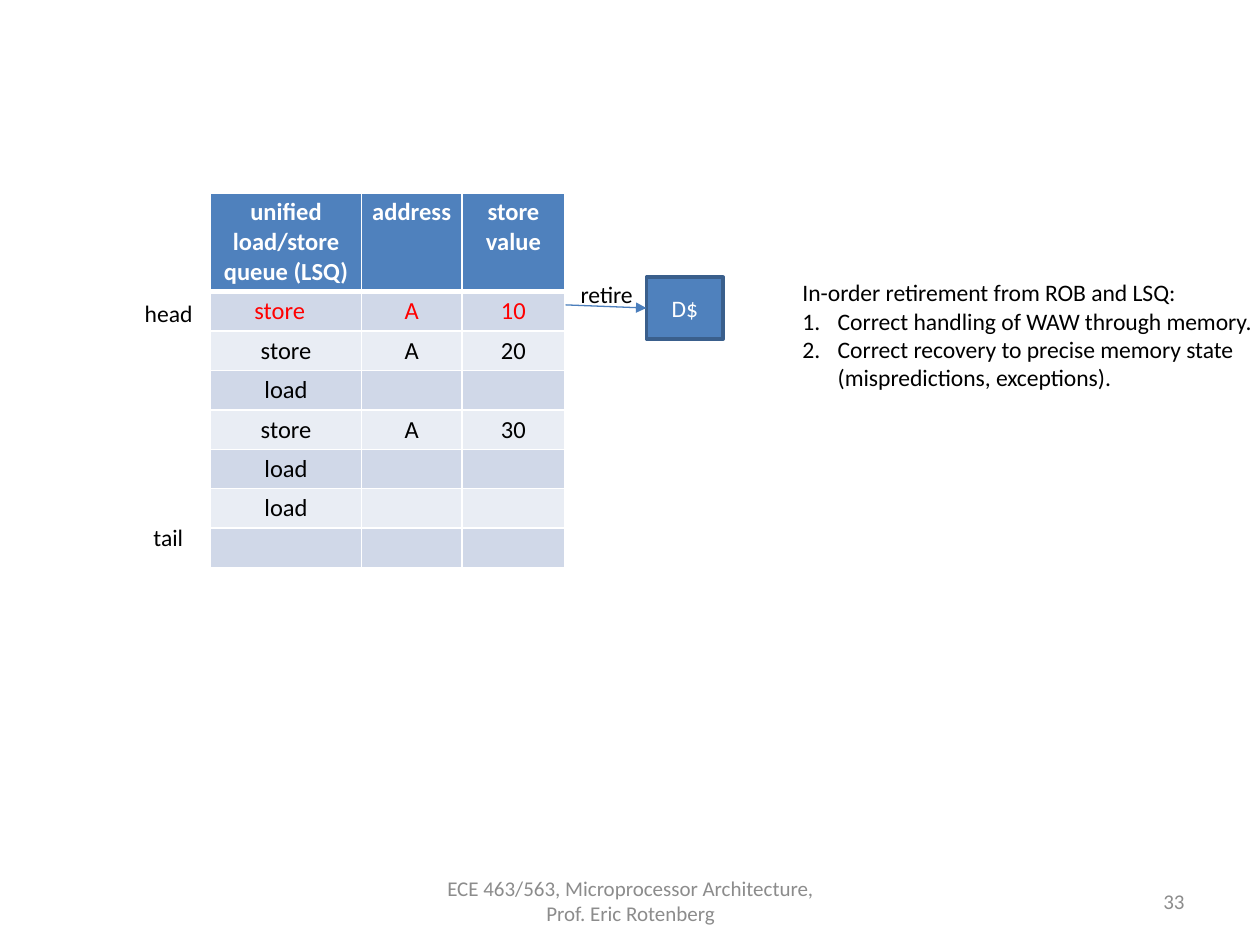
import pptx
import pptx.dml.color
import pptx.enum.shapes
import pptx.enum.text
import pptx.oxml.ns
import pptx.util
import lxml.etree

theme = {
    "font": "Calibri",
    "blue": "4F81BD", "edge": "3A5F8C", "arrow": "4B7EBC",
    "odd": "D0D8E8", "even": "E9EDF4",
    "black": "000000", "white": "FFFFFF", "red": "FF0000", "grey": "8C8C8C",
    "cell": 14, "body": 13.5, "foot": 12,
}
align = pptx.enum.text.PP_ALIGN
anchor = pptx.enum.text.MSO_ANCHOR
Pt = pptx.util.Pt
qn = pptx.oxml.ns.qn

deck = pptx.Presentation()
deck.slide_width = pptx.util.Inches(10)
deck.slide_height = pptx.util.Inches(7.5)
slide = deck.slides.add_slide(deck.slide_layouts[6])
shapes = slide.shapes

# Grid of 100 columns by 75 rows of square units
unit = deck.slide_width // 100


def grid(*spans):
    return [pptx.util.Emu(round(span * unit)) for span in spans]


def style(frame, size, color, side=align.LEFT, bold=False):
    for para in frame.paragraphs:
        para.alignment = side
        for run in para.runs:
            run.font.name = theme["font"]
            run.font.size = Pt(size)
            run.font.bold = bold
            run.font.color.rgb = pptx.dml.color.RGBColor.from_string(theme[color])


# Load/store queue table
rows = [
    ["unified load/store queue (LSQ)", "address", "store value"],
    ["store", "A", "10"],
    ["store", "A", "20"],
    ["load", "", ""],
    ["store", "A", "30"],
    ["load", "", ""],
    ["load", "", ""],
    ["", "", ""],
]
widths = grid(12, 7.95, 8.2)
heights = grid(7.7, *[3.1] * 7)
left, top = grid(16.7, 15.3)
queue = shapes.add_table(len(rows), len(widths), left, top, sum(widths), sum(heights)).table
for col, width in zip(queue.columns, widths):
    col.width = width
for r, (row, height) in enumerate(zip(rows, heights)):
    queue.rows[r].height = height
    color = "white" if r == 0 else "red" if r == 1 else "black"
    fill = "blue" if r == 0 else "odd" if r % 2 else "even"
    for c, text in enumerate(row):
        cell = queue.cell(r, c)
        cell.text_frame.text = text
        cell.margin_left, cell.margin_right, cell.margin_top, cell.margin_bottom = grid(0.7, 0.7, 0.38, 0.38)
        style(cell.text_frame, theme["cell"], color, align.CENTER, r == 0)
        if not text:
            end = lxml.etree.SubElement(cell.text_frame.paragraphs[0]._p, qn("a:endParaRPr"))
            end.set("sz", str(theme["cell"] * 100))
        for side in "LRTB":
            thick = (r, side) in [(0, "B"), (1, "T")]
            edge = lxml.etree.SubElement(cell._tc.get_or_add_tcPr(), qn("a:ln" + side))
            edge.set("w", str(Pt(3 if thick else 1)))
            paint = lxml.etree.SubElement(edge, qn("a:solidFill"))
            lxml.etree.SubElement(paint, qn("a:srgbClr")).set("val", theme["white"])
        cell.fill.solid()
        cell.fill.fore_color.rgb = pptx.dml.color.RGBColor.from_string(theme[fill])
# The store at the head sits a little left of centre
queue.cell(1, 0).margin_right, = grid(1.7)

# Data cache
cache = shapes.add_shape(pptx.enum.shapes.MSO_SHAPE.RECTANGLE, *grid(51.3, 22, 6.1, 4.9))
cache.shadow.inherit = False
cache.fill.solid()
cache.fill.fore_color.rgb = pptx.dml.color.RGBColor.from_string(theme["blue"])
cache.line.color.rgb = pptx.dml.color.RGBColor.from_string(theme["edge"])
cache.line.width = Pt(2)
cache.text_frame.text = "D$"
cache.text_frame.vertical_anchor = anchor.MIDDLE
style(cache.text_frame, theme["body"], "white", align.CENTER)

# Arrow from the head of the queue to the cache
arrow = shapes.add_connector(pptx.enum.shapes.MSO_CONNECTOR.STRAIGHT, *grid(44.9, 24.2, 51.3, 24.45))
arrow.end_connect(cache, 1)
arrow.line.color.rgb = pptx.dml.color.RGBColor.from_string(theme["arrow"])
arrow.line.width = Pt(0.75)
lxml.etree.SubElement(arrow.line._get_or_add_ln(), qn("a:tailEnd")).set("type", "triangle")
lxml.etree.SubElement(arrow._element.spPr, qn("a:effectLst"))

# Labels and the note on retirement
note = "\n".join([
    "In-order retirement from ROB and LSQ:",
    "Correct handling of WAW through memory.",
    "Correct recovery to precise memory state\v(mispredictions, exceptions).",
])
labels = [
    ("head", (10.5, 23.2, 5.9, 3.3)),
    ("tail", (11.2, 41, 4.4, 3.3)),
    ("retire", (45.1, 21.7, 6.3, 3.3)),
    (note, (62.7, 21.6, 38.2, 10.1)),
]
for text, spot in labels:
    frame = shapes.add_textbox(*grid(*spot)).text_frame
    frame.word_wrap = False
    frame.auto_size = pptx.enum.text.MSO_AUTO_SIZE.SHAPE_TO_FIT_TEXT
    frame.text = text
    style(frame, theme["body"], "black")
    # Lines below a heading are numbered
    indent, = grid(2.8)
    for para in frame.paragraphs[1:]:
        props = para._p.get_or_add_pPr()
        props.set("marL", str(indent))
        props.set("indent", str(-indent))
        lxml.etree.SubElement(props, qn("a:buFont")).set("typeface", "+mj-lt")
        lxml.etree.SubElement(props, qn("a:buAutoNum")).set("type", "arabicPeriod")

# Footer and slide number
feet = [
    ("ECE 463/563, Microprocessor Architecture, Prof. Eric Rotenberg", (34.2, 69.5, 31.7, 4), align.CENTER),
    ("33", (71.7, 69.5, 23.3, 4), align.RIGHT),
]
for text, spot, side in feet:
    frame = shapes.add_textbox(*grid(*spot)).text_frame
    frame.word_wrap = True
    frame.vertical_anchor = anchor.MIDDLE
    frame.text = text
    style(frame, theme["foot"], "grey", side)

deck.save("out.pptx")
